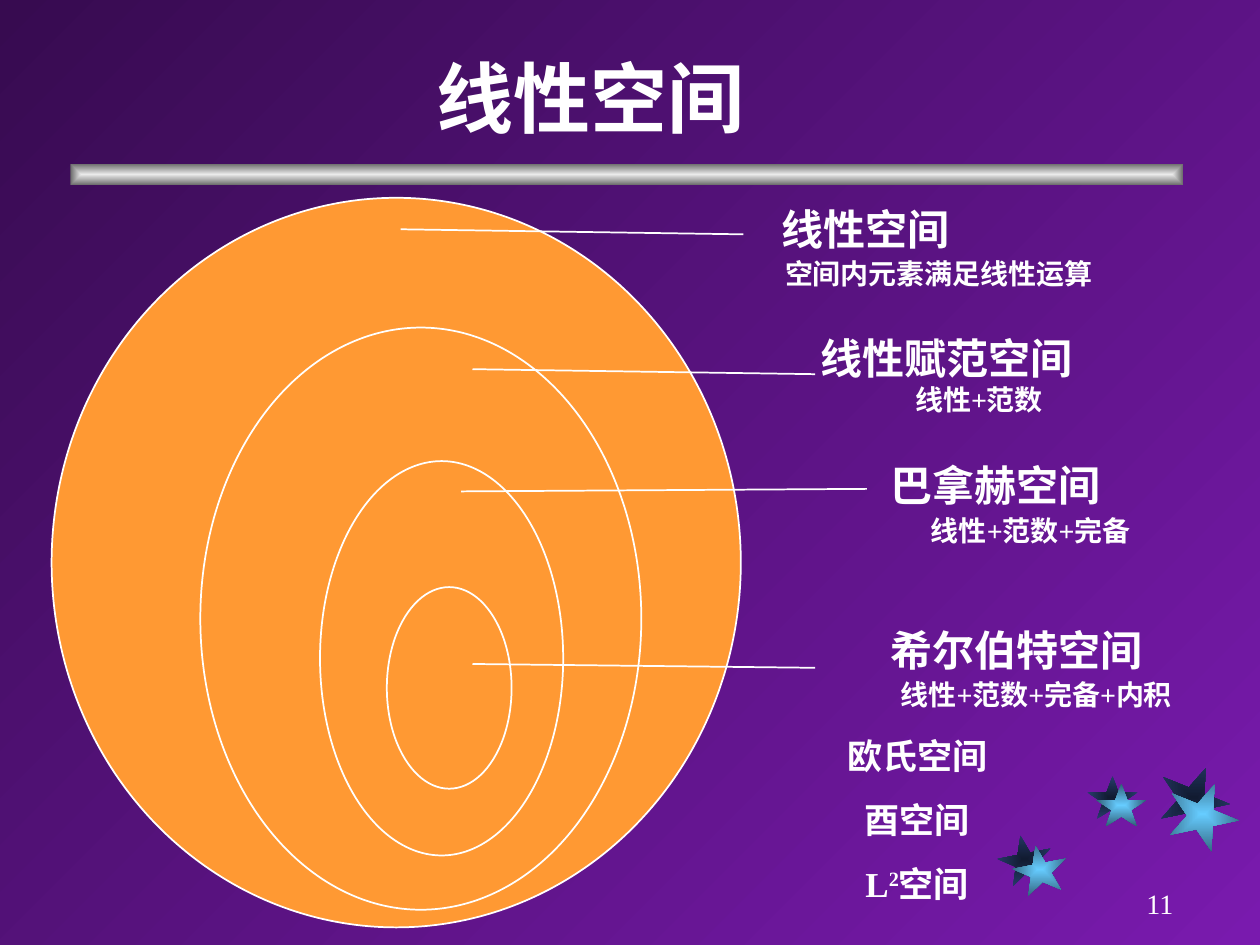
from lxml import etree
from pptx import Presentation
from pptx.dml.color import RGBColor
from pptx.enum import shapes, text
from pptx.oxml import ns
from pptx.util import Inches, Pt

WHITE, ORANGE = "FFFFFF", "FF9933"
BACKGROUND = ("791AAE", "370B50")
SILVER = ("EAEAEA", "6B6B6B")
STAR_SHADE = ("111B31", "273C6B")
STAR_FACE = ("66CCFF", "2F5E75")

# (width, height, rotation, shade position, face position)
STARS = [
    (0.43, 0.38, 349, (7.92, 6.63), (8.04, 6.71)),
    (0.4, 0.34, 0, (8.63, 6.16), (8.7, 6.22)),
    (0.57, 0.5, 22, (9.19, 6.08), (9.26, 6.21)),
]
RULE = (0.56, 1.3, 8.83, 0.17)

# Nested spaces, outermost first: ellipse, leader line, name, defining properties
SPACES = [
    dict(ellipse=(0.41, 1.57, 5.47, 5.79), leader=(5.9, 1.86, 3.18, 1.82),
         name=("线性空间", 5.9, 1.57, 1.94),
         properties=("空间内元素满足线性运算", 6, 1.99, 2.9)),
    dict(ellipse=(1.59, 2.6, 3.5, 4.62), leader=(6.47, 2.97, 3.75, 2.93),
         name=("线性赋范空间", 6.31, 2.59, 2.41),
         properties=("线性+范数", 6.8, 2.99, 1.94)),
    dict(ellipse=(2.54, 3.66, 1.93, 3.13), leader=(6.88, 3.88, 3.66, 3.9),
         name=("巴拿赫空间", 6.93, 3.6, 1.94),
         properties=("线性+范数+完备", 6.65, 4.03, 3.06)),
    dict(ellipse=(3.07, 4.66, 0.99, 1.6), leader=(6.47, 5.3, 3.75, 5.27),
         name=("希尔伯特空间", 6.68, 4.91, 2.77),
         properties=("线性+范数+完备+内积", 6.87, 5.33, 2.71)),
]
# Each line is a list of (text, superscript) runs
EXAMPLES = [
    [("欧氏空间", False)],
    [("酉空间", False)],
    [("L", False), ("2", True), ("空间", False)],
]


def rgb(color):
    return RGBColor.from_string(color)


def set_gradient(fill, colors):
    fill.gradient()
    for stop, color in zip(fill.gradient_stops, colors):
        stop.color.rgb = rgb(color)


def add_shape(slide, preset, box, fill, line=None):
    """Add a shape; a pair of fill colours runs from its centre to its edges."""
    shape = slide.shapes.add_shape(preset, *map(Inches, box))
    shape.shadow.inherit = False
    if isinstance(fill, tuple):
        set_gradient(shape.fill, fill)
        linear = shape.element.spPr.find(".//" + ns.qn("a:lin"))
        radial = etree.Element(ns.qn("a:path"), {"path": "rect"})
        etree.SubElement(radial, ns.qn("a:fillToRect"),
                         {side: "50000" for side in "ltrb"})
        linear.getparent().replace(linear, radial)
    else:
        shape.fill.solid()
        shape.fill.fore_color.rgb = rgb(fill)
    if line:
        shape.line.color.rgb = rgb(line)
        shape.line.width = Pt(1)
    else:
        shape.line.fill.background()
    return shape


def add_leader(slide, ends):
    leader = slide.shapes.add_connector(
        shapes.MSO_CONNECTOR.STRAIGHT, *map(Inches, ends))
    leader.line.color.rgb = rgb(WHITE)
    leader.line.width = Pt(1)
    etree.SubElement(leader.element.spPr, ns.qn("a:effectLst"))


def add_text(slide, lines, box, size, bold=True, align=text.PP_ALIGN.CENTER,
             anchor=text.MSO_ANCHOR.TOP, gap=0):
    frame = slide.shapes.add_textbox(*map(Inches, box)).text_frame
    frame.word_wrap = True
    frame.vertical_anchor = anchor
    font_format = dict(name="Times New Roman", size=Pt(size), bold=bold)
    for number, runs in enumerate(lines):
        paragraph = frame.add_paragraph() if number else frame.paragraphs[0]
        paragraph.alignment = align
        if number:
            paragraph.space_before = Pt(gap)
        for words, superscript in runs:
            run = paragraph.add_run()
            run.text = words
            for key, value in font_format.items():
                setattr(run.font, key, value)
            run.font.color.rgb = rgb(WHITE)
            if superscript:
                run.font._element.set("baseline", "30000")


def add_label(slide, label, height, size):
    words, left, top, width = label
    add_text(slide, [[(words, False)]], (left, top, width, height), size)


def main():
    deck = Presentation()
    deck.slide_width, deck.slide_height = Inches(10), Inches(7.5)
    slide = deck.slides.add_slide(deck.slide_layouts[6])
    set_gradient(slide.background.fill, BACKGROUND)
    slide.background.fill.gradient_angle = 135

    for layer, colors in enumerate((STAR_SHADE, STAR_FACE)):
        for width, height, rotation, *corners in STARS:
            star = add_shape(slide, shapes.MSO_SHAPE.STAR_5_POINT,
                             (*corners[layer], width, height), colors)
            star.rotation = rotation
    add_shape(slide, shapes.MSO_SHAPE.RECTANGLE, RULE, SILVER)

    for space in SPACES:
        add_shape(slide, shapes.MSO_SHAPE.OVAL, space["ellipse"], ORANGE, WHITE)
    for space in SPACES:
        add_leader(slide, space["leader"])
        add_label(slide, space["name"], 0.5, 24)
        add_label(slide, space["properties"], 0.37, 16)

    add_text(slide, EXAMPLES, (6.31, 5.78, 1.94, 1.45), 20, gap=12.5)
    add_label(slide, ("线性空间", 3.15, 0.35, 3.07), 0.84, 44)
    add_text(slide, [[("11", False)]], (7.83, 6.92, 1.58, 0.5), 16, bold=False,
             align=text.PP_ALIGN.RIGHT, anchor=text.MSO_ANCHOR.MIDDLE)
    deck.save("out.pptx")


if __name__ == "__main__":
    main()
